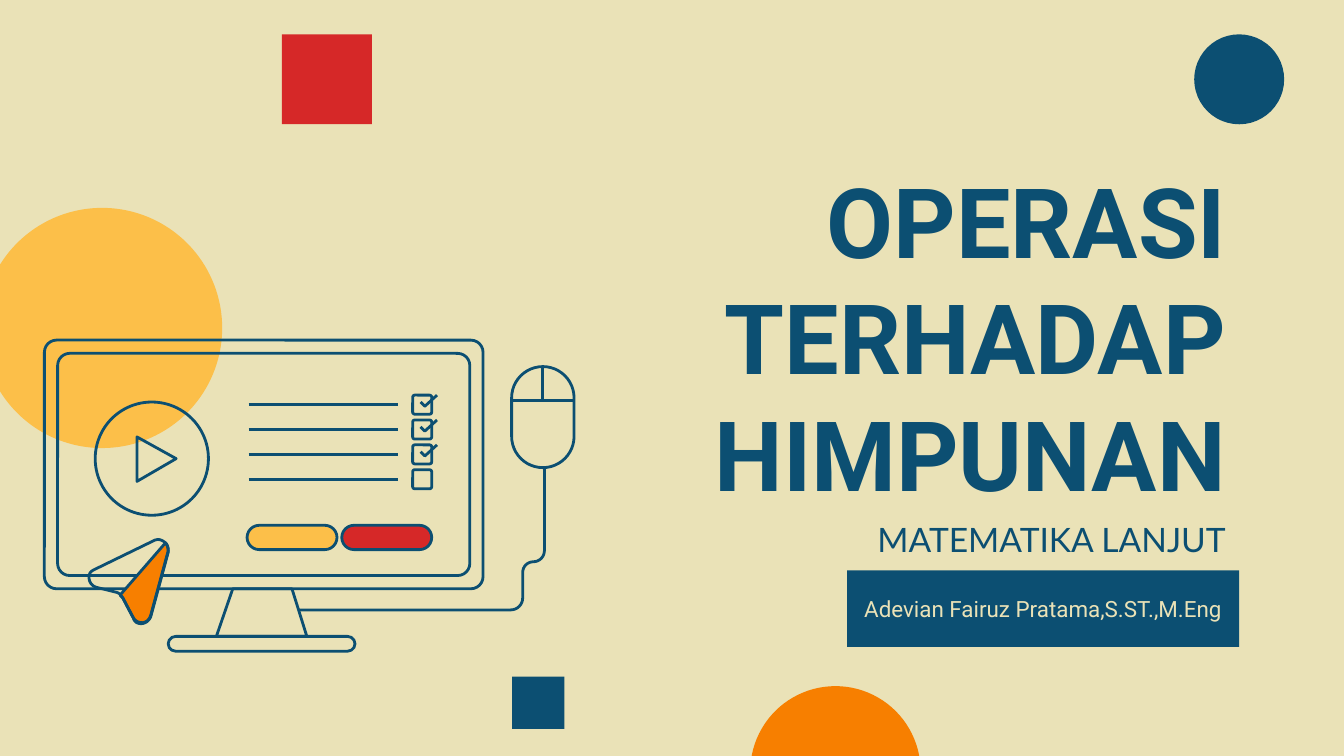
from pptx import Presentation
from pptx.dml.color import RGBColor as RGB
from pptx.enum.shapes import MSO_CONNECTOR as Link, MSO_SHAPE as Kind
from pptx.enum.text import MSO_ANCHOR as Anchor, PP_ALIGN as Align
from pptx.oxml.ns import qn
from pptx.util import Cm, Pt
from lxml.etree import SubElement as Sub

SAND, NAVY, RED = "EAE2B7", "0C4F72", "D62828"
GOLD, ORANGE = "FCBF49", "F77F00"


def color(code):
    return RGB.from_string(code)


def style(shape, fill=None, line=None):
    shape.shadow.inherit = False
    if fill:
        shape.fill.solid()
        shape.fill.fore_color.rgb = color(fill)
    else:
        shape.fill.background()
    if line:
        shape.line.color.rgb = color(line)
        shape.line.width = Pt(1.5)
    else:
        shape.line.fill.background()
    return shape


def add(slide, kind, box, fill=None, line=None, radius=None):
    shape = slide.shapes.add_shape(kind, *map(Cm, box))
    if radius is not None:
        shape.adjustments[0] = radius / min(box[2:])
    return style(shape, fill, line)


def rule(slide, x1, y1, x2, y2):
    line = slide.shapes.add_connector(Link.STRAIGHT, *map(Cm, (x1, y1, x2, y2)))
    line.line.color.rgb = color(NAVY)
    line.line.width = Pt(1.5)
    Sub(line._element.spPr, qn("a:effectLst"))
    return line


def bend(p, steps=8):
    """Points along a cubic curve with four control points."""
    for i in range(1, steps + 1):
        t = i / steps
        u = 1 - t
        yield tuple(u**3 * a + 3 * u * u * t * b + 3 * u * t * t * c + t**3 * d
                    for a, b, c, d in zip(*p))


def outline(slide, box, start, parts, fill=None, close=True):
    """Each part is one point (straight) or three points (curve)."""
    dots = [start]
    for part in parts:
        dots += part if len(part) == 1 else list(bend([dots[-1], *part]))
    dots = [(Cm(box[0] + x), Cm(box[1] + y)) for x, y in dots]
    pen = slide.shapes.build_freeform(*dots[0])
    pen.add_line_segments(dots[1:], close=close)
    return style(pen.convert_to_shape(), fill, NAVY)


def write(shape, text, font, size, ink, align, anchor, bold=False):
    frame = shape.text_frame
    frame.text = text
    frame.word_wrap = True
    frame.vertical_anchor = anchor
    frame.margin_left = frame.margin_right = Cm(0.25)
    frame.margin_top = frame.margin_bottom = Cm(0.25)
    para = frame.paragraphs[0]
    para.alignment = align
    face = para.runs[0].font
    face.name, face.size, face.bold = font, Pt(size), bold
    face.color.rgb = color(ink)


def decor(slide, box):
    x, y = box[:2]
    add(slide, Kind.OVAL, (x + 14.18, y + 12.97, 3.22, 3.22), ORANGE)
    add(slide, Kind.RECTANGLE, (x + 5.33, y + 0.65, 1.7, 1.7), RED)
    add(slide, Kind.RECTANGLE, (x + 9.68, y + 12.79, 0.99, 0.99), NAVY)
    add(slide, Kind.OVAL, (x + 22.57, y + 0.65, 1.7, 1.7), NAVY)
    add(slide, Kind.OVAL, (x - 0.34, y + 3.93, 4.54, 4.54), GOLD)


def heading(slide, box):
    x, y, w, h = box
    title = slide.shapes.add_textbox(*map(Cm, (x, y, w, 7.16)))
    write(title, "OPERASI TERHADAP HIMPUNAN", "Roboto", 52, NAVY,
          Align.RIGHT, Anchor.BOTTOM, True)
    topic = slide.shapes.add_textbox(*map(Cm, (x, y + 6.86, w, 1.19)))
    write(topic, "MATEMATIKA LANJUT", "Lato", 18, NAVY,
          Align.RIGHT, Anchor.MIDDLE)
    label = add(slide, Kind.RECTANGLE, (x + w - 7.41, y + h - 1.45, 7.41, 1.45), NAVY)
    write(label, "Adevian Fairuz Pratama,S.ST.,M.Eng", "Roboto", 12, SAND,
          Align.CENTER, Anchor.MIDDLE)


def stand(slide, box):
    x, y, w, h = box
    foot = 0.28
    outline(slide, box, (2.62, h - foot),
            [[(2.34, 0)], [(1.22, 0)], [(0.91, h - foot)]])
    add(slide, Kind.ROUNDED_RECTANGLE, (x, y + h - foot, w, foot),
        line=NAVY, radius=foot / 2)


def screen(slide, box):
    x, y, w, h = box
    # Frame and panel
    for gap in (0, 0.25):
        add(slide, Kind.ROUNDED_RECTANGLE,
            (x + gap, y + gap, w - 2 * gap, h - 2 * gap), line=NAVY, radius=0.23)
    # Checklist
    for i in range(4):
        top = 1.04 + i * 0.47
        rule(slide, x + 3.86, y + top + 0.18, x + 6.68, y + top + 0.18)
        add(slide, Kind.ROUNDED_RECTANGLE, (x + 6.96, y + top, 0.36, 0.36),
            line=NAVY, radius=0.04)
        if i < 3:
            outline(slide, box, (7.11, top + 0.13),
                    [[(7.19, top + 0.21)], [(7.42, top)]], close=False)
    # Play button
    add(slide, Kind.OVAL, (x + 0.96, y + 1.17, 2.14, 2.14), line=NAVY)
    outline(slide, box, (2.49, 2.24), [[(1.75, 1.83)], [(1.75, 2.67)]])
    # Buttons
    for i, fill in enumerate((GOLD, RED)):
        add(slide, Kind.ROUNDED_RECTANGLE, (x + 3.83 + i * 1.79, y + 3.5, 1.7, 0.46),
            fill, NAVY, 0.23)


def cursor(slide, box):
    outline(slide, box, (1.5, 0.1), [
        [(1.53, 0.13), (1.55, 0.2), (1.55, 0.28)], [(1.22, 1.5)],
        [(1.19, 1.57), (1.12, 1.63), (1.04, 1.63)],
        [(0.97, 1.63), (0.91, 1.6), (0.89, 1.52)],
        [(0.69, 1.14)], [(0.64, 1.09)]], ORANGE)
    outline(slide, box, (0.15, 0.61), [
        [(1.3, 0.05)], [(1.42, 0), (1.57, 0.13), (1.55, 0.25)],
        [(1.22, 1.47)], [(1.17, 1.65), (0.97, 1.65), (0.89, 1.52)],
        [(0.69, 1.14)], [(0.66, 1.1), (0.64, 1.06), (0.58, 1.04)],
        [(0.18, 0.94)], [(0.03, 0.89), (0, 0.66), (0.15, 0.61)]])


def mouse(slide, box):
    x, y, w, h = box
    body = add(slide, Kind.ROUNDED_RECTANGLE, box, line=NAVY, radius=w / 2)
    rule(slide, x, y + 0.64, x + w, y + 0.64)
    split = rule(slide, x + w / 2, y, x + w / 2, y + 0.64)
    split.begin_connect(body, 0)


def cable(slide, box):
    w, h = box[2:]
    outline(slide, box, (w, 0), [
        [(w, 1.57)], [(w, 1.68), (4.56, 1.78), (4.44, 1.78)],
        [(4.33, 1.78), (4.24, 1.87), (4.24, 1.98)],
        [(4.24, 2.46)], [(4.24, 2.59), (4.14, h), (4.01, h)],
        [(0, h)]], close=False)


def main():
    deck = Presentation()
    deck.slide_width, deck.slide_height = Cm(25.4), Cm(14.29)
    slide = deck.slides.add_slide(deck.slide_layouts[6])
    back = slide.background.fill
    back.solid()
    back.fore_color.rgb = color(SAND)
    decor(slide, (0, 0, 25.4, 14.29))
    heading(slide, (10.8, 2.74, 12.62, 9.49))
    # Computer
    stand(slide, (3.18, 11.13, 3.53, 1.18))
    screen(slide, (0.84, 6.43, 8.29, 4.7))
    cursor(slide, (1.63, 10.16, 1.57, 1.68))
    mouse(slide, (9.67, 6.93, 1.18, 1.91))
    cable(slide, (5.64, 8.84, 4.65, 2.69))
    deck.save("out.pptx")


if __name__ == "__main__":
    main()
